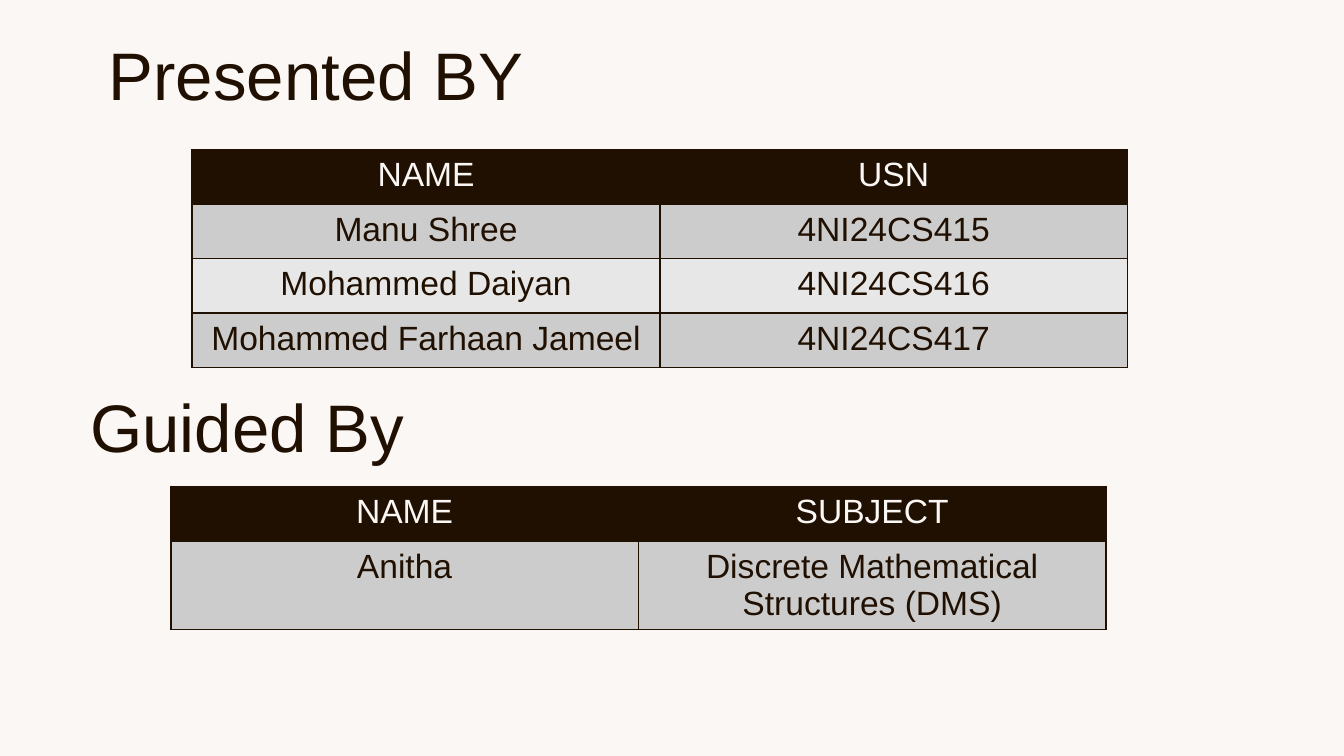
from dataclasses import dataclass

from lxml import etree
from pptx import Presentation
from pptx.dml.color import RGBColor
from pptx.enum import text
from pptx.oxml import ns
from pptx.util import Pt


@dataclass(frozen=True)
class Theme:
    background: str = "FBF7F4"
    ink: str = "201002"
    bands: tuple = ("CDCCCC", "E8E7E7")
    font: str = "Arial"
    heading_size: int = 36
    table_size: int = 18
    border: int = 1


THEME = Theme()
HEADING_SIZE = (394.5, 67)
TABLE_WIDTH = 501
ROW_HEIGHT = 29.2


def paint(fill, color):
    fill.solid()
    fill.fore_color.rgb = RGBColor.from_string(color)


def write(paragraph, words, size, color):
    paragraph.text = words
    paragraph.alignment = text.PP_ALIGN.CENTER
    font = paragraph.font
    font.name, font.size, font.bold = THEME.font, Pt(size), False
    font.color.rgb = RGBColor.from_string(color)


def add_heading(shape, left, top, words):
    """Place a heading in a title placeholder or a text box."""
    width, height = HEADING_SIZE
    shape.left, shape.top = Pt(left), Pt(top)
    shape.width, shape.height = Pt(width), Pt(height)
    frame = shape.text_frame
    frame.word_wrap = True
    frame.auto_size = text.MSO_AUTO_SIZE.NONE
    frame.vertical_anchor = text.MSO_ANCHOR.MIDDLE
    frame.margin_left = frame.margin_right = Pt(0)
    frame.margin_top = frame.margin_bottom = Pt(0)
    paragraph = frame.paragraphs[0]
    write(paragraph, words, THEME.heading_size, THEME.ink)
    paragraph.line_spacing = 0.9


def add_borders(cell):
    # Border lines come before the fill in the cell properties
    properties = cell._tc.get_or_add_tcPr()
    for index, side in enumerate(("lnL", "lnR", "lnT", "lnB")):
        line = etree.Element(ns.qn(f"a:{side}"), w=str(Pt(THEME.border)))
        fill = etree.SubElement(line, ns.qn("a:solidFill"))
        etree.SubElement(fill, ns.qn("a:srgbClr"), val=THEME.ink)
        properties.insert(index, line)


def add_people_table(slide, left, top, rows, heights):
    """Place a table with a dark header and banded rows."""
    columns = len(rows[0])
    table = slide.shapes.add_table(
        len(rows), columns, Pt(left), Pt(top), Pt(TABLE_WIDTH), Pt(sum(heights))
    ).table
    table.first_row = table.horz_banding = False
    for column in table.columns:
        column.width = Pt(TABLE_WIDTH / columns)
    for row_index, (values, height) in enumerate(zip(rows, heights)):
        table.rows[row_index].height = Pt(height)
        header = row_index == 0
        color = THEME.background if header else THEME.ink
        fill = THEME.ink if header else THEME.bands[(row_index - 1) % 2]
        for column_index, value in enumerate(values):
            cell = table.cell(row_index, column_index)
            paint(cell.fill, fill)
            add_borders(cell)
            write(cell.text_frame.paragraphs[0], value, THEME.table_size, color)


def main():
    presentation = Presentation()
    presentation.slide_width, presentation.slide_height = Pt(720), Pt(405)
    slide = presentation.slides.add_slide(presentation.slide_layouts[5])
    paint(slide.background.fill, THEME.background)

    # Presenters
    add_heading(slide.shapes.title, -28, 8.6, "Presented BY")
    presenters = [
        ("NAME", "USN"),
        ("Manu Shree", "4NI24CS415"),
        ("Mohammed Daiyan", "4NI24CS416"),
        ("Mohammed Farhaan Jameel", "4NI24CS417"),
    ]
    add_people_table(slide, 103, 80, presenters, [ROW_HEIGHT] * len(presenters))

    # Guide
    guide_heading = slide.shapes.add_textbox(0, 0, 0, 0)
    add_heading(guide_heading, -64.8, 197.3, "Guided By")
    guides = [
        ("NAME", "SUBJECT"),
        ("Anitha", "Discrete Mathematical Structures (DMS)"),
    ]
    add_people_table(slide, 91.5, 260.6, guides, [ROW_HEIGHT, 47])

    presentation.save("out.pptx")


if __name__ == "__main__":
    main()
